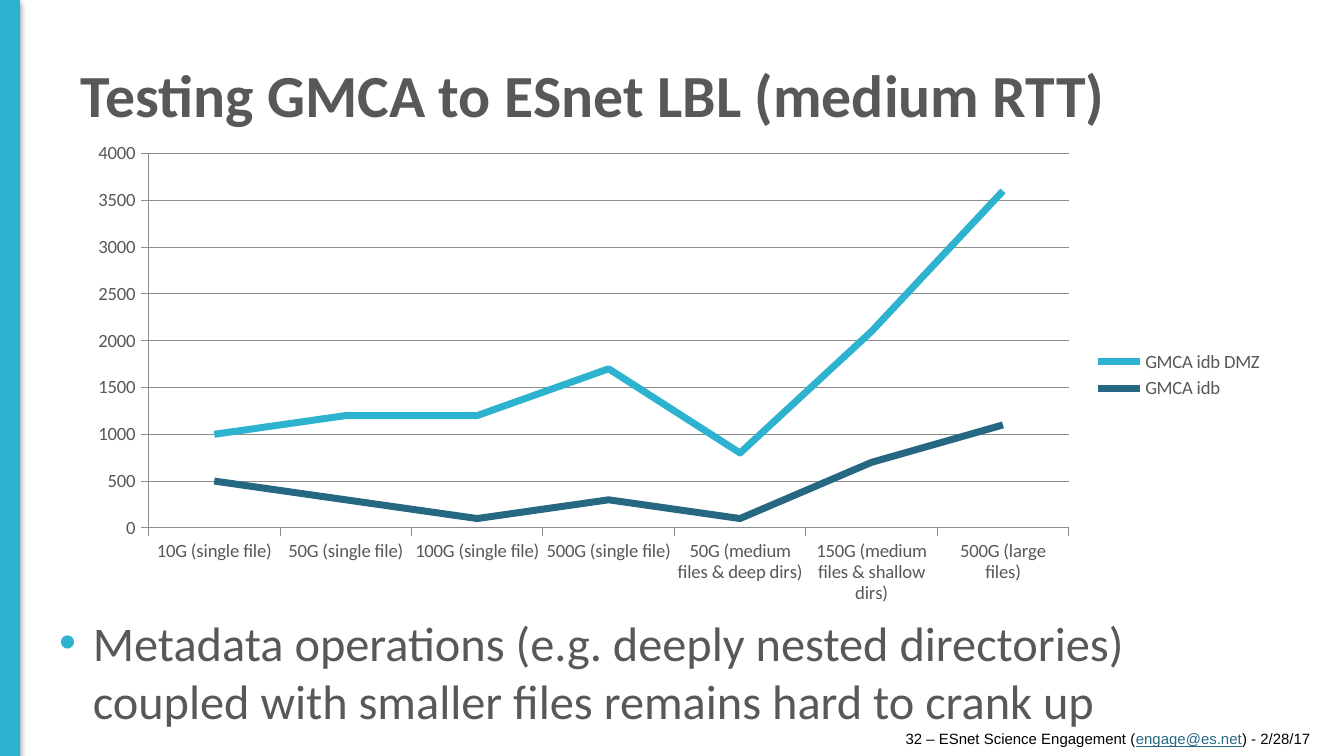
from lxml import etree
from pptx import Presentation
from pptx.chart.data import CategoryChartData
from pptx.dml.color import RGBColor
from pptx.enum.chart import XL_CHART_TYPE, XL_LEGEND_POSITION, XL_TICK_MARK
from pptx.enum.shapes import MSO_SHAPE
from pptx.enum.text import MSO_ANCHOR, MSO_AUTO_SIZE, PP_ALIGN
from pptx.oxml import parse_xml
from pptx.oxml.ns import nsdecls, qn
from pptx.util import Pt

LINE_CHART = XL_CHART_TYPE.LINE
LEGEND_RIGHT = XL_LEGEND_POSITION.RIGHT
TICK_OUTSIDE = XL_TICK_MARK.OUTSIDE
RECTANGLE = MSO_SHAPE.RECTANGLE
MIDDLE, TOP = MSO_ANCHOR.MIDDLE, MSO_ANCHOR.TOP
NO_AUTOFIT = MSO_AUTO_SIZE.NONE
LEFT, RIGHT = PP_ALIGN.LEFT, PP_ALIGN.RIGHT

COLORS = {
    "accent": "2DB2CF",
    "dark": "266782",
    "text": "58585B",
    "grid": "8C8C8C",
    "black": "000000",
}


def color(name):
    return RGBColor.from_string(COLORS[name])


def add_run(paragraph, text, size, font_name, color_name):
    run = paragraph.add_run()
    run.text = text
    run.font.size = Pt(size)
    run.font.name = font_name
    run.font.color.rgb = color(color_name)
    return run


presentation = Presentation()
presentation.slide_width, presentation.slide_height = Pt(720), Pt(405)
slide = presentation.slides.add_slide(presentation.slide_layouts[1])

# Side bar with a soft shadow
bar = slide.shapes.add_shape(RECTANGLE, Pt(0), Pt(0), Pt(10.8), Pt(405))
bar.fill.solid()
bar.fill.fore_color.rgb = color("accent")
bar.line.fill.background()
bar.shadow.inherit = False
bar.element.spPr.find(qn("a:effectLst")).append(parse_xml(
    f'<a:outerShdw {nsdecls("a")} blurRad="{Pt(3.1)}" dist="{Pt(1.8)}" dir="5400000">'
    f'<a:srgbClr val="{COLORS["black"]}"><a:alpha val="35000"/></a:srgbClr></a:outerShdw>'))

# Title
title = slide.shapes.title
title.left, title.top, title.width, title.height = Pt(36), Pt(16.2), Pt(648), Pt(67.7)
title.text_frame.vertical_anchor = MIDDLE
title.text_frame.auto_size = NO_AUTOFIT
paragraph = title.text_frame.paragraphs[0]
paragraph.alignment = LEFT
add_run(paragraph, "Testing GMCA to ESnet LBL (medium RTT)", 32, "Calibri", "text").font.bold = True

# Takeaway
body = slide.placeholders[1]
body.left, body.top, body.width, body.height = Pt(24.5), Pt(324.7), Pt(670.3), Pt(65.5)
body.text_frame.vertical_anchor = TOP
body.text_frame.auto_size = NO_AUTOFIT
paragraph = body.text_frame.paragraphs[0]
paragraph.space_before = Pt(0)
properties = paragraph._p.get_or_add_pPr()
properties.set("marL", str(Pt(18)))
properties.set("indent", str(Pt(-18)))
bullet_color = etree.SubElement(properties, qn("a:buClr"))
etree.SubElement(bullet_color, qn("a:srgbClr"), val=COLORS["accent"])
etree.SubElement(properties, qn("a:buFont"), typeface="Arial")
etree.SubElement(properties, qn("a:buChar"), char="•")
add_run(paragraph,
        "Metadata operations (e.g. deeply nested directories) "
        "coupled with smaller files remains hard to crank up",
        25.9, "Calibri", "text")

# Transfer rate chart
chart_data = CategoryChartData()
chart_data.categories = [
    "10G (single file)", "50G (single file)", "100G (single file)", "500G (single file)",
    "50G (medium files & deep dirs)", "150G (medium files & shallow dirs)",
    "500G (large files)",
]
chart_data.add_series("GMCA idb DMZ", [1000, 1200, 1200, 1700, 800, 2100, 3600])
chart_data.add_series("GMCA idb", [500, 300, 100, 300, 100, 700, 1100])
chart_frame = slide.shapes.add_chart(
    LINE_CHART, Pt(39.6), Pt(72), Pt(644.4), Pt(257.8), chart_data)
chart = chart_frame.chart
chart.has_title = False
chart.font.size = Pt(10)
chart.font.name = "Calibri"
chart.font.color.rgb = color("text")
chart.has_legend = True
chart.legend.position = LEGEND_RIGHT
chart.legend.include_in_layout = False

for series, color_name in zip(chart.plots[0].series, ("accent", "dark")):
    series.smooth = False
    series.format.line.width = Pt(3.75)
    series.format.line.color.rgb = color(color_name)

value_axis = chart.value_axis
value_axis.minimum_scale, value_axis.maximum_scale, value_axis.major_unit = 0, 4000, 500
value_axis.has_major_gridlines = True
for axis in (chart.category_axis, value_axis):
    axis.major_tick_mark = TICK_OUTSIDE
for lines in (chart.category_axis, value_axis, value_axis.major_gridlines):
    lines.format.line.color.rgb = color("grid")
    lines.format.line.width = Pt(0.5)

# Fixed inner plot area, as fractions of the chart
plot_area = chart._chartSpace.chart.plotArea
for old_layout in plot_area.findall(qn("c:layout")):
    plot_area.remove(old_layout)
layout = parse_xml(f'<c:layout {nsdecls("c")}><c:manualLayout/></c:layout>')
for tag, value in (("layoutTarget", "inner"), ("xMode", "edge"), ("yMode", "edge"),
                   ("x", Pt(40) / chart_frame.width), ("y", Pt(10.3) / chart_frame.height),
                   ("w", Pt(493) / chart_frame.width), ("h", Pt(200.6) / chart_frame.height)):
    etree.SubElement(layout[0], qn(f"c:{tag}"), val=str(value))
plot_area.insert(0, layout)

# Footer
footer = slide.shapes.add_textbox(Pt(474.3), Pt(390.2), Pt(234.8), Pt(10.8))
frame = footer.text_frame
frame.word_wrap = True
frame.vertical_anchor = MIDDLE
frame.margin_top = frame.margin_bottom = Pt(0)
paragraph = frame.paragraphs[0]
paragraph.alignment = RIGHT
add_run(paragraph, "32 – ESnet Science Engagement (", 8, "Arial", "black")
add_run(paragraph, "engage@es.net", 8, "Arial", "dark").font.underline = True
add_run(paragraph, ") - 2/28/17", 8, "Arial", "black")

presentation.save("out.pptx")
